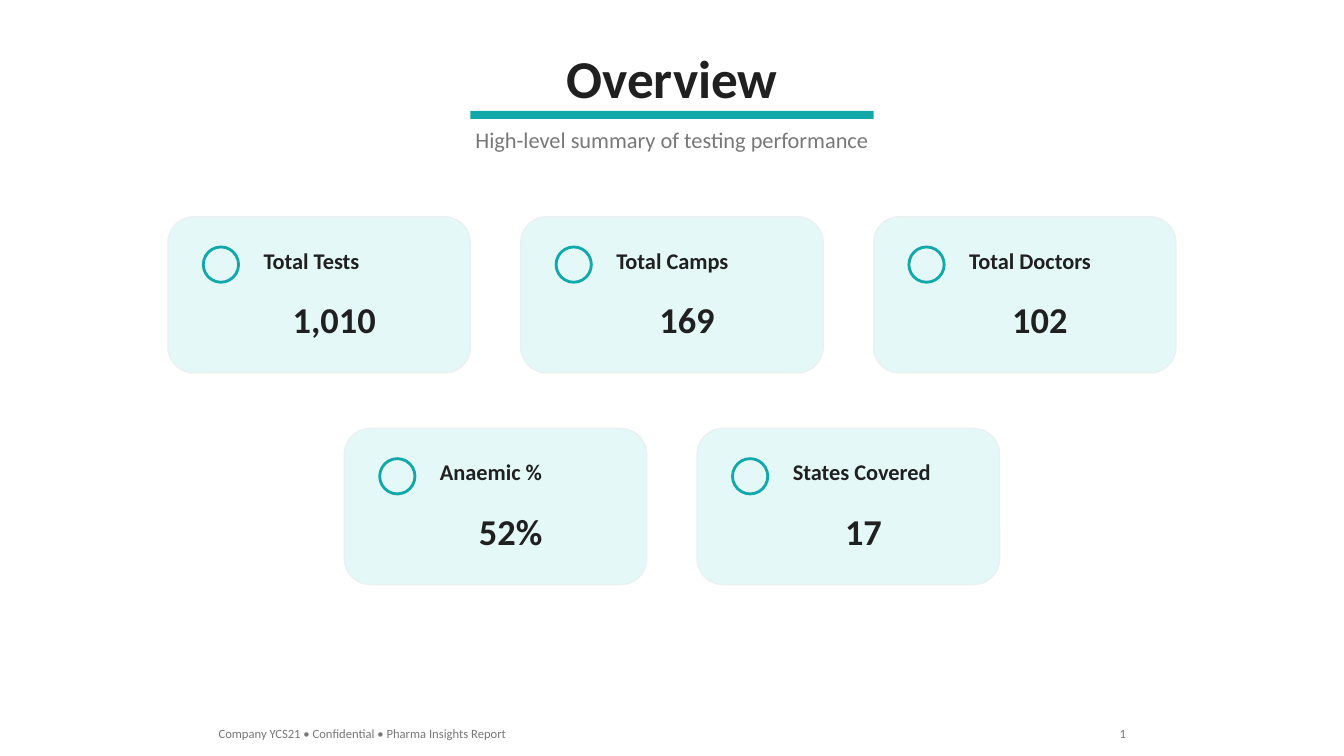
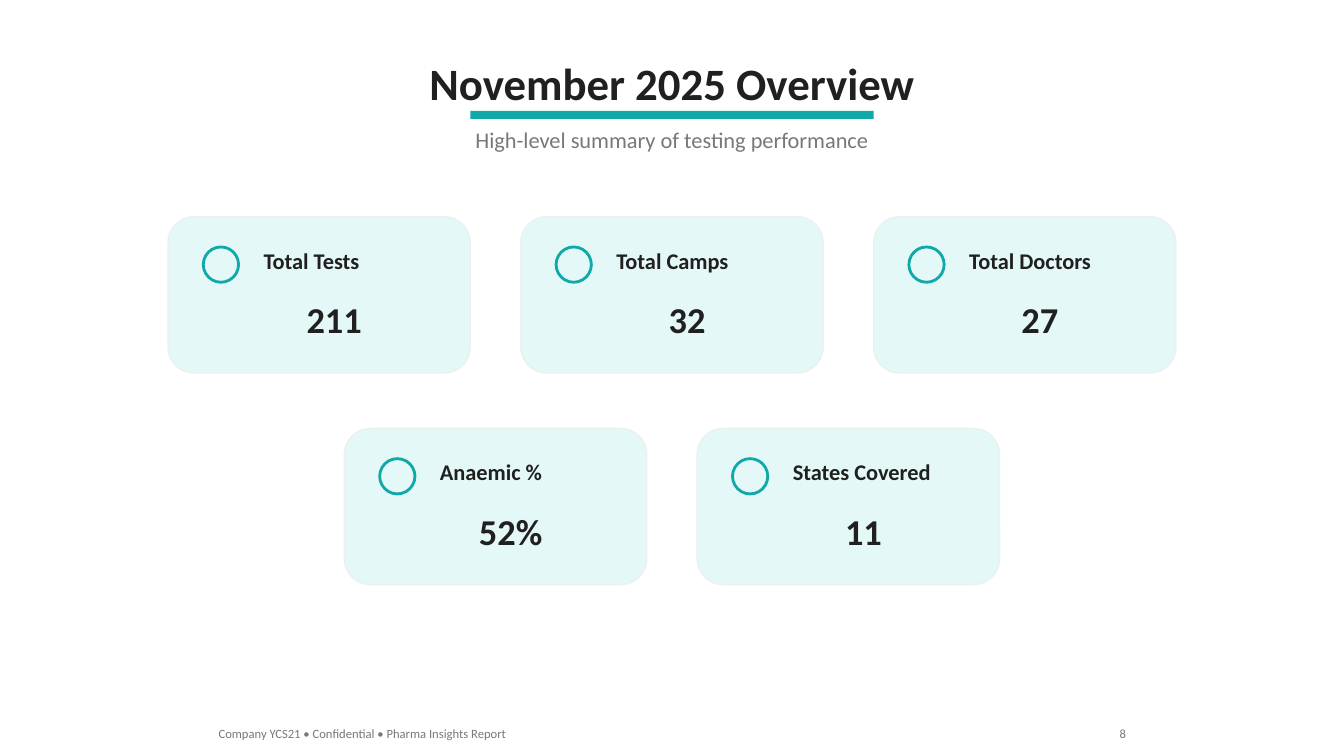
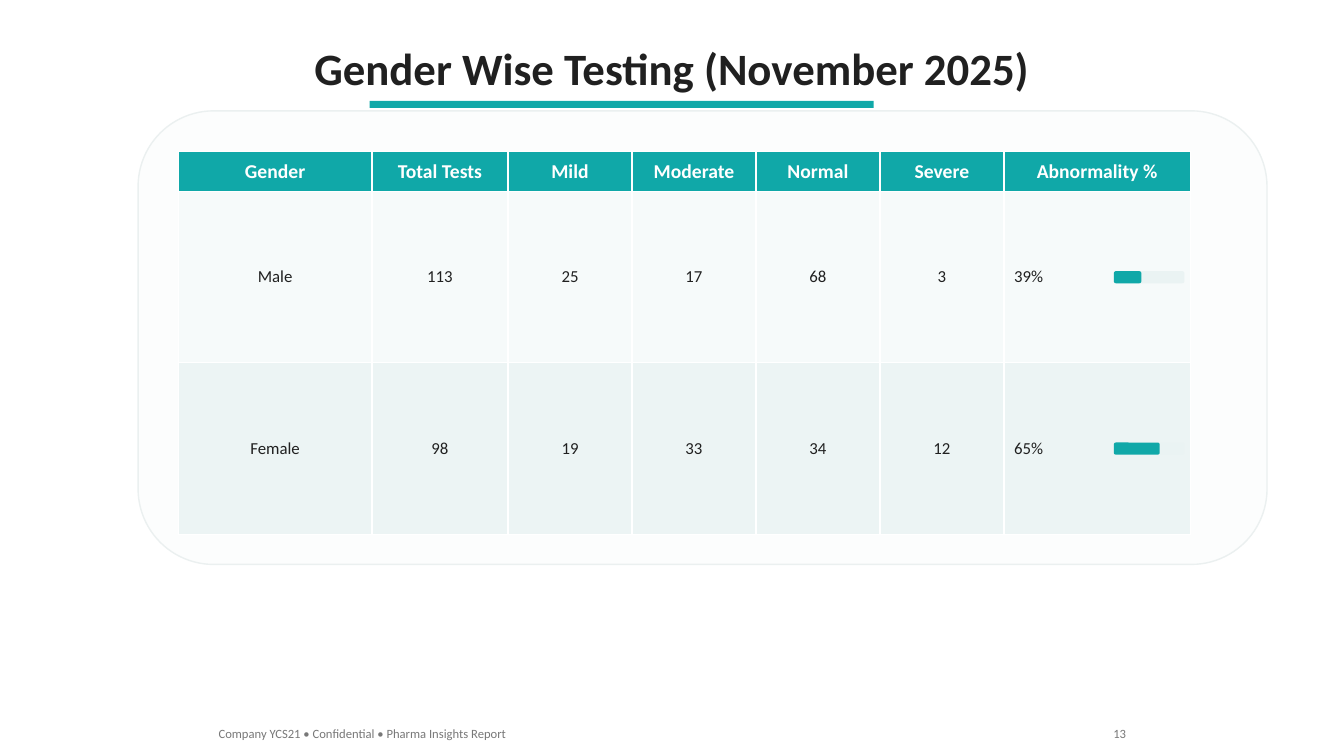
import pptx
import pptx.util
import pptx.dml.color
import pptx.enum.shapes
import pptx.enum.text

# Square grid of 75 rows; every length below counts grid cells
ROWS = 75
COLUMNS = 133.33
CELL = pptx.util.Inches(7.5) / ROWS
CENTRE = COLUMNS / 2

FONT = "Calibri"
TEAL, INK, GREY, WHITE = "10A8A8", "202020", "787878", "FFFFFF"
CARD, EDGE, PANEL, TRACK = "E4F8F8", "EBF0F0", "FCFDFD", "EAF3F3"
BANDS = ["F6FAFA", "ECF4F4"]

SHAPE = pptx.enum.shapes.MSO_SHAPE
ALIGN = pptx.enum.text.PP_ALIGN
ANCHOR = pptx.enum.text.MSO_ANCHOR

FOOTER = "Company YCS21 • Confidential • Pharma Insights Report"
SUBTITLE = "High-level summary of testing performance"
# Card labels with the widths of their boxes
LABELS = [[("Total Tests", 11.6), ("Total Camps", 13.3), ("Total Doctors", 14.3)],
          [("Anaemic %", 12.3), ("States Covered", 15.9)]]


def cells(count):
    return pptx.util.Emu(round(count * CELL))


def colour(code):
    return pptx.dml.color.RGBColor.from_string(code)


def centred(width, top, height, middle=CENTRE):
    return middle - width / 2, top, width, height


def write(frame, text, size=16, color=INK, bold=False, align=ALIGN.LEFT):
    paragraph = frame.paragraphs[0]
    paragraph.alignment = align
    run = paragraph.add_run()
    run.text = text
    run.font.name = FONT
    run.font.size = pptx.util.Pt(size)
    run.font.bold = bold
    run.font.color.rgb = colour(color)


def fit_text(shape, text, **style):
    frame = shape.text_frame
    frame.word_wrap = False
    frame.auto_size = pptx.enum.text.MSO_AUTO_SIZE.SHAPE_TO_FIT_TEXT
    frame.vertical_anchor = ANCHOR.TOP
    write(frame, text, **style)


def add_text(slide, box, text, **style):
    fit_text(slide.shapes.add_textbox(*map(cells, box)), text, **style)


def add_block(slide, kind, box, fill=None, line=None, weight=1):
    shape = slide.shapes.add_shape(kind, *map(cells, box))
    shape.shadow.inherit = False
    if fill:
        shape.fill.solid()
        shape.fill.fore_color.rgb = colour(fill)
    else:
        shape.fill.background()
    if line:
        shape.line.color.rgb = colour(line)
        shape.line.width = pptx.util.Pt(weight)
    else:
        shape.line.fill.background()


def add_page(presentation, title, title_box, title_size, bar_box, number):
    """Slide with the shared title, teal bar and footer."""
    slide = presentation.slides.add_slide(presentation.slide_layouts[5])
    heading = slide.shapes.title
    heading.left, heading.top, heading.width, heading.height = map(cells, title_box)
    fit_text(heading, title, size=title_size, bold=True, align=ALIGN.CENTER)
    add_block(slide, SHAPE.RECTANGLE, bar_box, fill=TEAL)

    # Footer
    add_text(slide, (20.7, 71.5, 31, 2.5), FOOTER, size=9, color=GREY)
    width = 2.1 + 0.6 * len(number)
    add_text(slide, (112.7 - width, 71.5, width, 2.5), number,
             size=9, color=GREY, align=ALIGN.RIGHT)
    return slide


def add_card(slide, box, label, label_width, value):
    left, top, width, height = box
    add_block(slide, SHAPE.ROUNDED_RECTANGLE, box, fill=CARD, line=EDGE)
    add_block(slide, SHAPE.OVAL, (left + 3.5, top + 3, 3.5, 3.5), line=TEAL, weight=2)
    add_text(slide, (left + 8.5, top + 2.5, label_width, 3.7), label, bold=True)
    # The value box is slightly wider than its characters and margins
    value_width = 2.1 + sum({",": 1, "%": 2.7}.get(mark, 1.85) for mark in value)
    add_text(slide, centred(value_width, top + 7.5, 5.4, left + width * 0.55), value,
             size=26, bold=True, align=ALIGN.CENTER)


def add_overview(presentation, title, title_box, title_size, number, values):
    slide = add_page(presentation, title, title_box, title_size,
                     centred(40, 11, 0.8), number)
    add_text(slide, centred(41.5, 12, 3.7), SUBTITLE, color=GREY, align=ALIGN.CENTER)

    # Centred rows of cards
    width, height, gap = 30, 15.5, 5
    for row, (labels, row_values) in enumerate(zip(LABELS, values)):
        start = CENTRE - (len(labels) * (width + gap) - gap) / 2
        for column, ((label, label_width), value) in enumerate(zip(labels, row_values)):
            box = (start + column * (width + gap), 21.5 + row * 21, width, height)
            add_card(slide, box, label, label_width, value)


def add_result_table(slide, box, widths, heights, rows):
    left, top, width, height = box
    table = slide.shapes.add_table(len(rows), len(widths), *map(cells, box)).table
    table.horz_banding = False
    for column, size in zip(table.columns, widths):
        column.width = cells(size)
    for row, size in zip(table.rows, heights):
        row.height = cells(size)

    for index, values in enumerate(rows):
        header = index == 0
        for column, value in enumerate(values):
            cell = table.cell(index, column)
            cell.vertical_anchor = ANCHOR.MIDDLE
            cell.fill.solid()
            cell.fill.fore_color.rgb = colour(TEAL if header else BANDS[index - 1])
            last = column == len(values) - 1
            write(cell.text_frame, value, size=14 if header else 12, bold=header,
                  color=WHITE if header else INK,
                  align=ALIGN.LEFT if last and not header else ALIGN.CENTER)

    # Progress bars in the last column
    track, thickness = 7, 1.2
    for index in range(1, len(rows)):
        middle = top + sum(heights[:index]) + heights[index] / 2
        share = int(rows[index][-1].rstrip("%")) / 100
        for length, fill in [(track, TRACK), (track * share, TEAL)]:
            add_block(slide, SHAPE.ROUNDED_RECTANGLE,
                      (left + width - track - 0.6, middle - thickness / 2,
                       length, thickness), fill=fill)


def add_gender_page(presentation):
    slide = add_page(presentation, "Gender Wise Testing (November 2025)",
                     centred(73.6, 3.5, 6.4), 32, (36.67, 10, 50, 0.7), "13")
    left, top, width, height = panel = (13.7, 11, 112, 45)
    add_block(slide, SHAPE.ROUNDED_RECTANGLE, panel, fill=PANEL, line=EDGE)
    widths = [19.2, 13.5] + [12.3] * 4 + [18.5]
    heights = [4, 17, 17]
    add_result_table(slide, (left + 4, top + 4, sum(widths), sum(heights)), widths, heights, [
        ["Gender", "Total Tests", "Mild", "Moderate", "Normal", "Severe", "Abnormality %"],
        ["Male", "113", "25", "17", "68", "3", "39%"],
        ["Female", "98", "19", "33", "34", "12", "65%"],
    ])


def main():
    presentation = pptx.Presentation()
    presentation.slide_width = cells(COLUMNS)
    presentation.slide_height = cells(ROWS)
    add_overview(presentation, "Overview", centred(23.2, 4, 7.4), 38, "1",
                 [["1,010", "169", "102"], ["52%", "17"]])
    add_overview(presentation, "November 2025 Overview", centred(50.6, 5, 6.4), 32, "8",
                 [["211", "32", "27"], ["52%", "11"]])
    add_gender_page(presentation)
    presentation.save("out.pptx")


if __name__ == "__main__":
    main()
